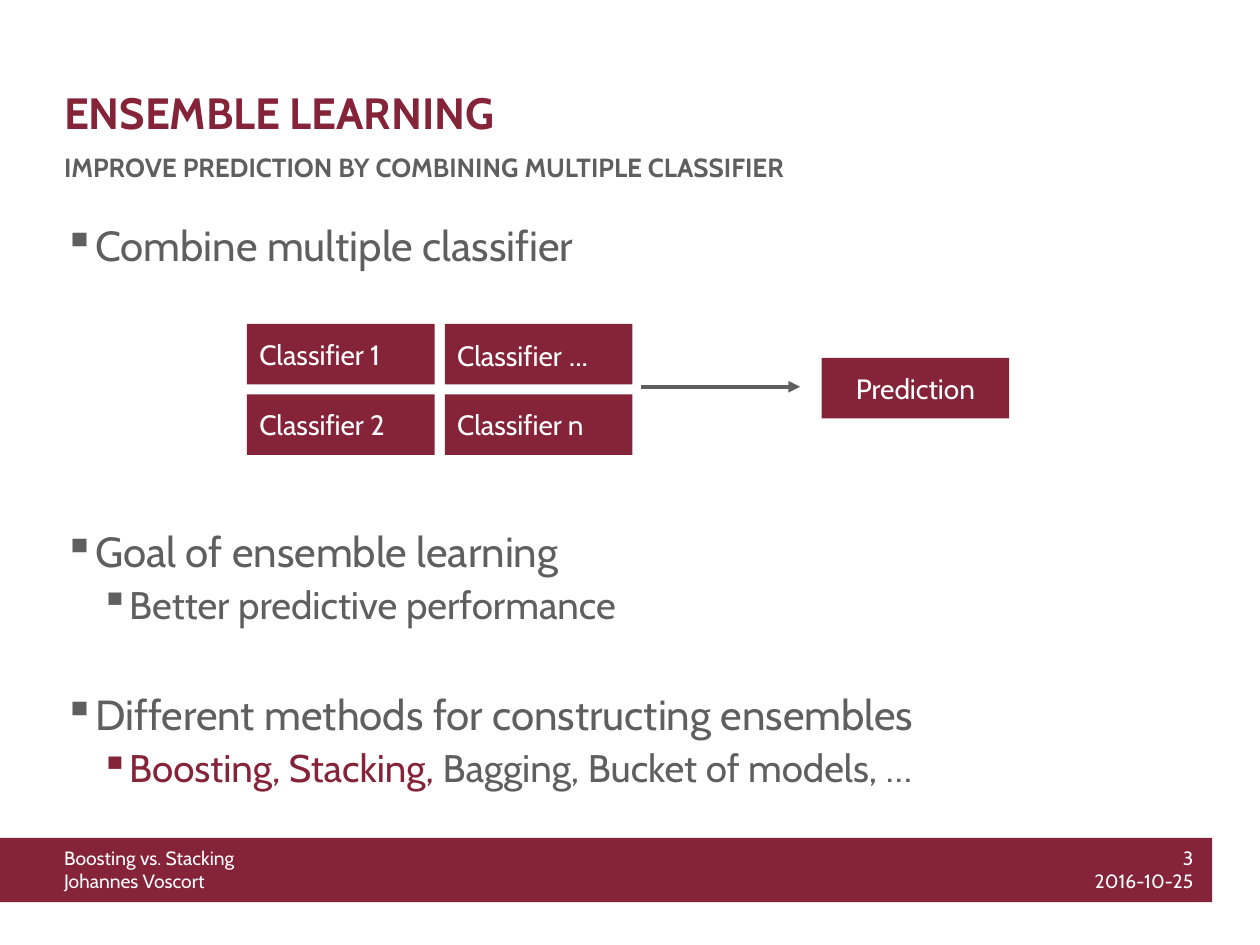
from lxml import etree
from pptx import Presentation
from pptx.dml.color import RGBColor
from pptx.enum.shapes import MSO_CONNECTOR, MSO_SHAPE
from pptx.enum.text import MSO_ANCHOR, PP_ALIGN
from pptx.oxml.ns import qn
from pptx.util import Inches, Pt

RECT, LINE = MSO_SHAPE.RECTANGLE, MSO_CONNECTOR.STRAIGHT
LEFT, MID, RIGHT = PP_ALIGN.LEFT, PP_ALIGN.CENTER, PP_ALIGN.RIGHT
TOP, CENTRE = MSO_ANCHOR.TOP, MSO_ANCHOR.MIDDLE

HUES = {"wine": "852339", "grey": "5F5F5F", "white": "FFFFFF"}
FONT = "Cabin"
WIDE, HIGH = 10, 7.5
EDGE = 0.41             # left side of all text boxes
BOX_W, BOX_H = 1.49, 0.48
GRID_X, GRID_Y = 1.96, 2.57
STEP_X, STEP_Y = 1.57, 0.56


def hue(name):
    return RGBColor.from_string(HUES[name])


def add_run(para, text, size, color, bold=False):
    run = para.add_run()
    run.text = text
    font = run.font
    font.name, font.size, font.bold = FONT, Pt(size), bold
    font.color.rgb = hue(color)


def add_box(slide, x, y, w, h):
    box = slide.shapes.add_textbox(*map(Inches, (x, y, w, h)))
    frame = box.text_frame
    frame.word_wrap, frame.vertical_anchor = True, TOP
    return frame


def add_label(slide, area, lines, size, color, bold=False, align=LEFT):
    para = add_box(slide, *area).paragraphs[0]
    para.alignment = align
    for i, line in enumerate(lines):
        if i:
            para.add_line_break()
        add_run(para, line, size, color, bold)


def add_block(slide, x, y, w, h, runs=(), align=LEFT):
    block = slide.shapes.add_shape(RECT, *map(Inches, (x, y, w, h)))
    block.shadow.inherit = False
    block.fill.solid()
    block.fill.fore_color.rgb = hue("wine")
    block.line.fill.background()
    block.text_frame.vertical_anchor = CENTRE
    para = block.text_frame.paragraphs[0]
    para.alignment = align
    for text, size in runs:
        add_run(para, text, size, "white")


def add_arrow(slide, x1, x2, y):
    arrow = slide.shapes.add_connector(LINE, *map(Inches, (x1, y, x2, y)))
    arrow.line.color.rgb = hue("grey")
    arrow.line.width = Pt(2.25)
    tail = etree.SubElement(arrow.line._get_or_add_ln(), qn("a:tailEnd"))
    tail.set("type", "triangle")
    etree.SubElement(arrow._element.spPr, qn("a:effectLst"))


def add_point(para, level, gap, runs):
    para.level, para.space_before = level, Pt(gap)
    props = para._p.get_or_add_pPr()
    props.set("marL", str(Inches((0.2, 0.49)[level])))
    props.set("indent", str(Inches(-0.2)))
    mark = etree.SubElement(props, qn("a:buChar"))
    mark.set("char", "▪")
    for text, color in runs:
        add_run(para, text, (24, 22)[level], color)


def add_list(slide, area, points):
    frame = add_box(slide, *area)
    for i, point in enumerate(points):
        para = frame.add_paragraph() if i else frame.paragraphs[0]
        add_point(para, *point)


def main():
    deck = Presentation()
    deck.slide_width, deck.slide_height = Inches(WIDE), Inches(HIGH)
    slide = deck.slides.add_slide(deck.slide_layouts[6])

    # Footer band
    add_block(slide, 0, 6.65, 9.62, 0.51)
    add_label(slide, (EDGE, 6.67, 4.51, 0.47),
              ("Boosting vs. Stacking", "Johannes Voscort"), 11, "white")
    add_label(slide, (8.23, 6.67, 1.34, 0.47),
              ("3", "2016-10-25"), 11, "white", align=RIGHT)

    # Bullets: level, space before in points, runs
    add_list(slide, (EDGE, 1.69, 9.14, 4.72), (
        (0, 6, [("Combine multiple classifier", "grey")]),
        (0, 146, [("Goal of ensemble learning", "grey")]),
        (1, 3, [("Better predictive performance", "grey")]),
        (0, 35, [("Different methods for constructing ensembles", "grey")]),
        (1, 3, [("Boosting, Stacking, ", "wine"),
                ("Bagging, Bucket of models, …", "grey")]),
    ))

    # Headings
    add_label(slide, (EDGE, 1.15, 7.12, 0.31),
              ["IMPROVE PREDICTION BY COMBINING MULTIPLE CLASSIFIER"],
              15, "grey", bold=True)
    add_label(slide, (EDGE, 0.63, 7.11, 0.53), ["ENSEMBLE LEARNING"],
              25, "wine", bold=True)

    # Classifier grid, column by column
    cells = (
        [("Classifier 1", 16)], [("Classifier 2", 16)],
        [("Classifier", 16), (" ...", 18)], [("Classifier n", 16)],
    )
    for i, runs in enumerate(cells):
        col, row = divmod(i, 2)
        add_block(slide, GRID_X + col * STEP_X, GRID_Y + row * STEP_Y,
                  BOX_W, BOX_H, runs)

    # Combined result
    add_arrow(slide, 5.09, 6.35, 3.07)
    add_block(slide, 6.52, 2.84, BOX_W, BOX_H, [("Prediction", 16)], MID)

    deck.save("out.pptx")


if __name__ == "__main__":
    main()
